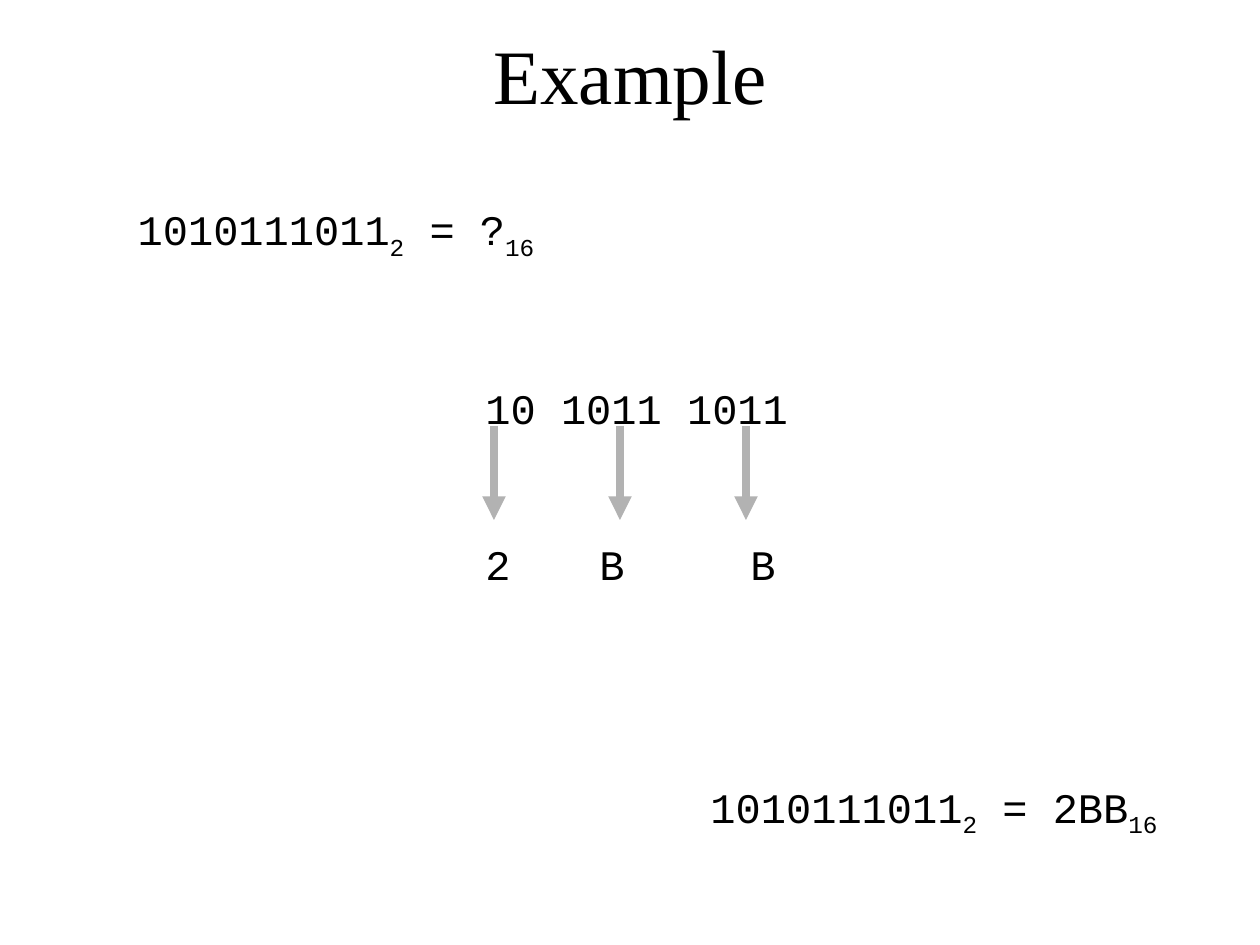
from pptx import Presentation
from pptx.dml.color import RGBColor
from pptx.enum.shapes import MSO_CONNECTOR as Connector
from pptx.enum.text import MSO_ANCHOR as Anchor, MSO_AUTO_SIZE as AutoSize, PP_ALIGN as Align
from pptx.oxml.ns import qn
from pptx.util import Pt
from lxml.etree import SubElement

EMU_PER_PX = 914400 / 126


def px(length):
    return round(length * EMU_PER_PX)


def write(para, text, font="Courier New", size=24, color="000000", baseline=None):
    span = para.add_run()
    span.text = text
    span.font.name = font
    span.font.size = Pt(size)
    span.font.color.rgb = RGBColor.from_string(color)
    if baseline is not None:
        span.font._element.set("baseline", str(baseline * 1000))


deck = Presentation()
deck.slide_width, deck.slide_height = px(1260), px(945)
page = deck.slides.add_slide(deck.slide_layouts[5])

# Title
title = page.shapes.title
title.left, title.top, title.width, title.height = px(95), px(21), px(1071), px(105)
title.text_frame.auto_size = AutoSize.NONE
title.text_frame.vertical_anchor = Anchor.MIDDLE
heading = title.text_frame.paragraphs[0]
heading.alignment = Align.CENTER
write(heading, "Example", font="Times New Roman", size=44)

# Question, worked digits and answer
boxes = []
for left, top, height in [(42, 189, 70), (473, 368, 223), (640, 766, 70)]:
    box = page.shapes.add_textbox(px(left), px(top), px(588), px(height))
    box.text_frame.word_wrap = True
    box.text_frame.margin_top = px(15)
    boxes.append(box.text_frame)
question, digits, answer = boxes

for frame, result in [(question, " = ?"), (answer, " = 2BB")]:
    para = frame.paragraphs[0]
    para.alignment = Align.CENTER
    write(para, "1010111011")
    write(para, "2", baseline=-25)
    write(para, result)
    write(para, "16", baseline=-25)

# Groups of four bits above their hexadecimal digits
write(digits.paragraphs[0], "10 1011 1011")
para = digits.add_paragraph()
para.space_before = Pt(60)
tabs = SubElement(para._p.get_or_add_pPr(), qn("a:tabLst"))
for stop in (114, 265):
    SubElement(tabs, qn("a:tab"), pos=str(px(stop)), algn="l")
write(para, "2\tB\tB")

# Arrows from bits to digits
for column in range(3):
    x = px(494 + 126 * column)
    arrow = page.shapes.add_connector(Connector.STRAIGHT, x, px(426), x, px(520))
    arrow.line.width = Pt(4.5)
    arrow.line.color.rgb = RGBColor.from_string("B2B2B2")
    SubElement(arrow.line._get_or_add_ln(), qn("a:tailEnd"), type="triangle")
    SubElement(arrow._element.spPr, qn("a:effectLst"))

deck.save("out.pptx")
